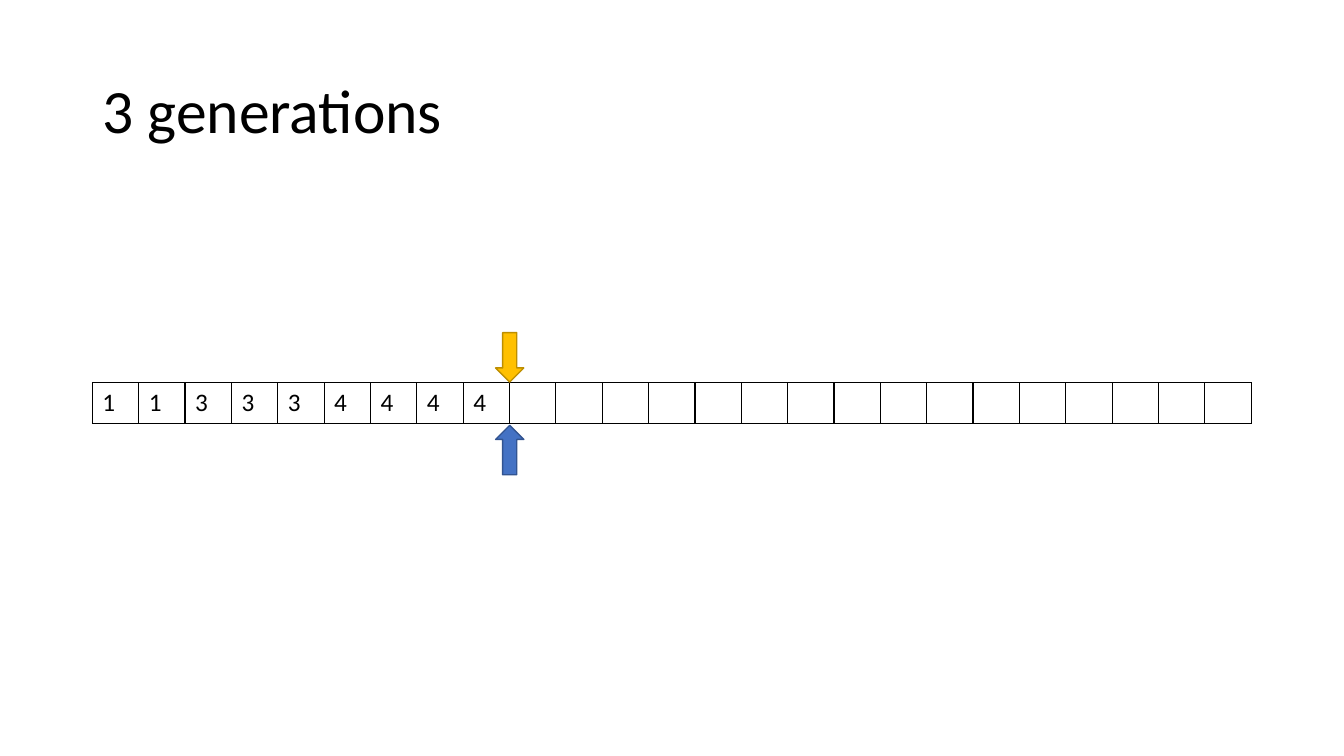
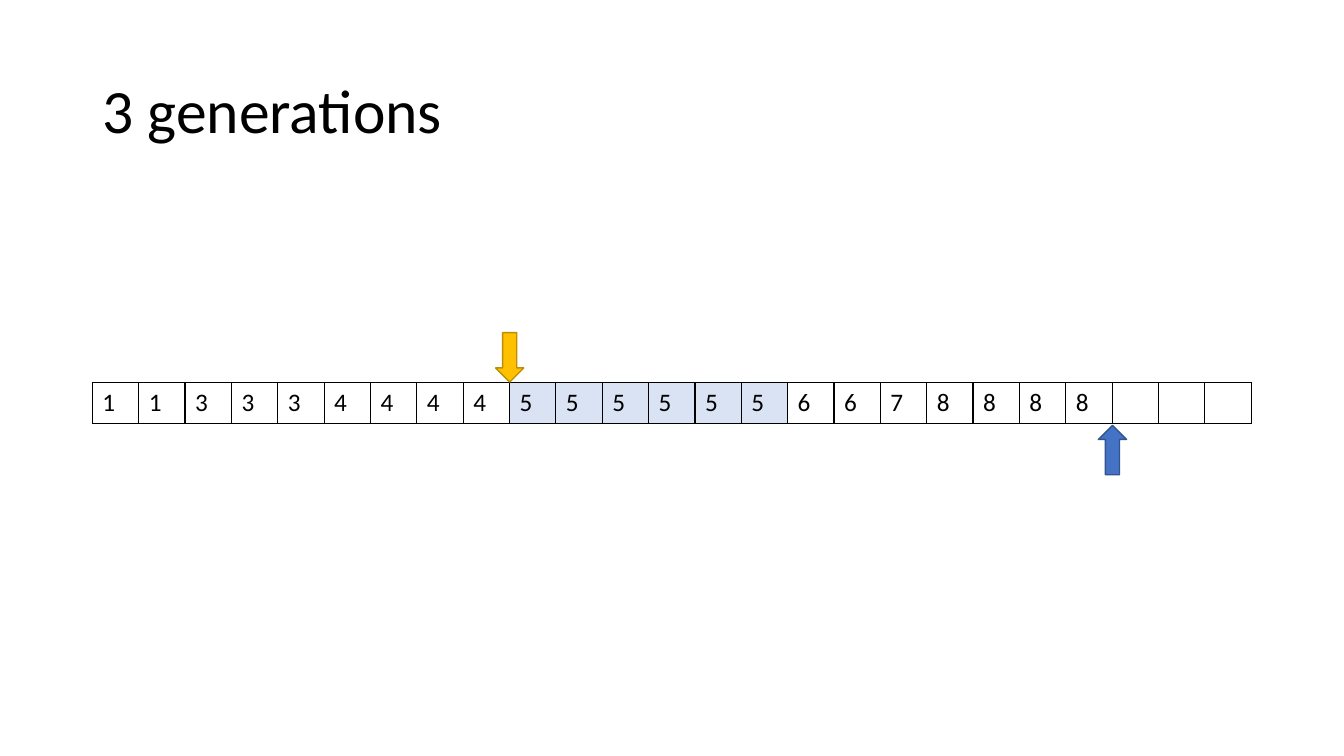
from dataclasses import dataclass

from lxml.etree import SubElement
from pptx import Presentation
from pptx.dml.color import RGBColor as Rgb
from pptx.enum.shapes import MSO_SHAPE as Shape
from pptx.enum.text import MSO_ANCHOR as Anchor, PP_ALIGN as Align
from pptx.oxml.ns import qn
from pptx.util import Pt

TITLE = "3 generations"
CELL_COUNT = 25
# Positions count cells from the left end of the array.
STAGES = [
    {"values": "113334444", "shaded": range(0),
     "upper_pointer": 9, "lower_pointer": 9},
    {"values": "1133344445555556678888", "shaded": range(9, 15),
     "upper_pointer": 9, "lower_pointer": 22},
]


@dataclass(frozen=True)
class Theme:
    """Colours, font and type sizes of the deck."""
    font: str = "Calibri"
    title_size: int = 44
    value_size: int = 18
    ink: str = "000000"
    shade: str = "DAE3F3"
    upper: tuple = ("FFC000", "BD8E00")
    lower: tuple = ("4472C4", "325491")


THEME = Theme()
SLIDE_W, SLIDE_H = 960, 540
LEFT, WIDTH = 66, 828
TITLE_TOP, TITLE_H = 28.75, 104.4
CELL_W, ROW_H = WIDTH / CELL_COUNT, 29.2
ARRAY_TOP = 273.3
POINTER_W, POINTER_H = 20.2, 35.3
UPPER_TOP = ARRAY_TOP - POINTER_H - 0.4
LOWER_TOP = ARRAY_TOP + ROW_H + 1.3


def write(frame, text, size, align=Align.LEFT, spacing=1.0):
    """Put formatted text in a text frame."""
    paragraph = frame.paragraphs[0]
    paragraph.alignment = align
    paragraph.line_spacing = spacing
    run = paragraph.add_run()
    run.text = text
    run.font.name = THEME.font
    run.font.size = Pt(size)
    run.font.color.rgb = Rgb.from_string(THEME.ink)


def style_cell(cell, edges, fill=None):
    """Draw only the named edges (from L, R, T, B) and set the fill."""
    properties = cell._tc.get_or_add_tcPr()
    for edge in "LRTB":
        line = SubElement(properties, qn(f"a:ln{edge}"), w=str(Pt(1)))
        if edge in edges:
            solid = SubElement(line, qn("a:solidFill"))
            SubElement(solid, qn("a:srgbClr"), val=THEME.ink)
        else:
            SubElement(line, qn("a:noFill"))
    if fill:
        cell.fill.solid()
        cell.fill.fore_color.rgb = Rgb.from_string(fill)
    else:
        cell.fill.background()


def add_array(slide, values, shaded):
    """Add the row of cells below one merged open header row."""
    table = slide.shapes.add_table(
        2, CELL_COUNT, Pt(LEFT), Pt(ARRAY_TOP - ROW_H),
        Pt(WIDTH), Pt(2 * ROW_H)).table
    table.first_row = table.horz_banding = False
    for row in table.rows:
        row.height = Pt(ROW_H)
    for index, column in enumerate(table.columns):
        column.width = Pt(CELL_W)
        style_cell(table.cell(0, index), "B")
        slot = table.cell(1, index)
        style_cell(slot, "LRTB", THEME.shade if index in shaded else None)
        if index < len(values):
            write(slot.text_frame, values[index], THEME.value_size)
    table.cell(0, 0).merge(table.cell(0, CELL_COUNT - 1))


def add_pointer(slide, position, top, colours, rotation=0):
    """Add an arrow centred on the boundary before a cell."""
    centre = LEFT + position * CELL_W
    pointer = slide.shapes.add_shape(
        Shape.UP_ARROW, Pt(centre - POINTER_W / 2), Pt(top),
        Pt(POINTER_W), Pt(POINTER_H))
    fill, outline = colours
    pointer.rotation = rotation
    pointer.shadow.inherit = False
    pointer.fill.solid()
    pointer.fill.fore_color.rgb = Rgb.from_string(fill)
    pointer.line.color.rgb = Rgb.from_string(outline)
    pointer.line.width = Pt(1)


def place_title(title):
    """Set the title area that all slides inherit."""
    title.left, title.top = Pt(LEFT), Pt(TITLE_TOP)
    title.width, title.height = Pt(WIDTH), Pt(TITLE_H)
    title.text_frame.vertical_anchor = Anchor.MIDDLE


def add_stage(deck, layout, stage):
    """Add one slide showing a state of the array."""
    slide = deck.slides.add_slide(layout)
    write(slide.shapes.title.text_frame, TITLE, THEME.title_size, spacing=0.9)
    add_array(slide, stage["values"], stage["shaded"])
    add_pointer(slide, stage["lower_pointer"], LOWER_TOP, THEME.lower)
    add_pointer(slide, stage["upper_pointer"], UPPER_TOP, THEME.upper,
                rotation=180)


def main():
    """Build and save the deck."""
    deck = Presentation()
    deck.slide_width, deck.slide_height = Pt(SLIDE_W), Pt(SLIDE_H)
    title_only = deck.slide_layouts.get_by_name("Title Only")
    place_title(title_only.placeholders[0])
    for stage in STAGES:
        add_stage(deck, title_only, stage)
    deck.save("out.pptx")


main()
